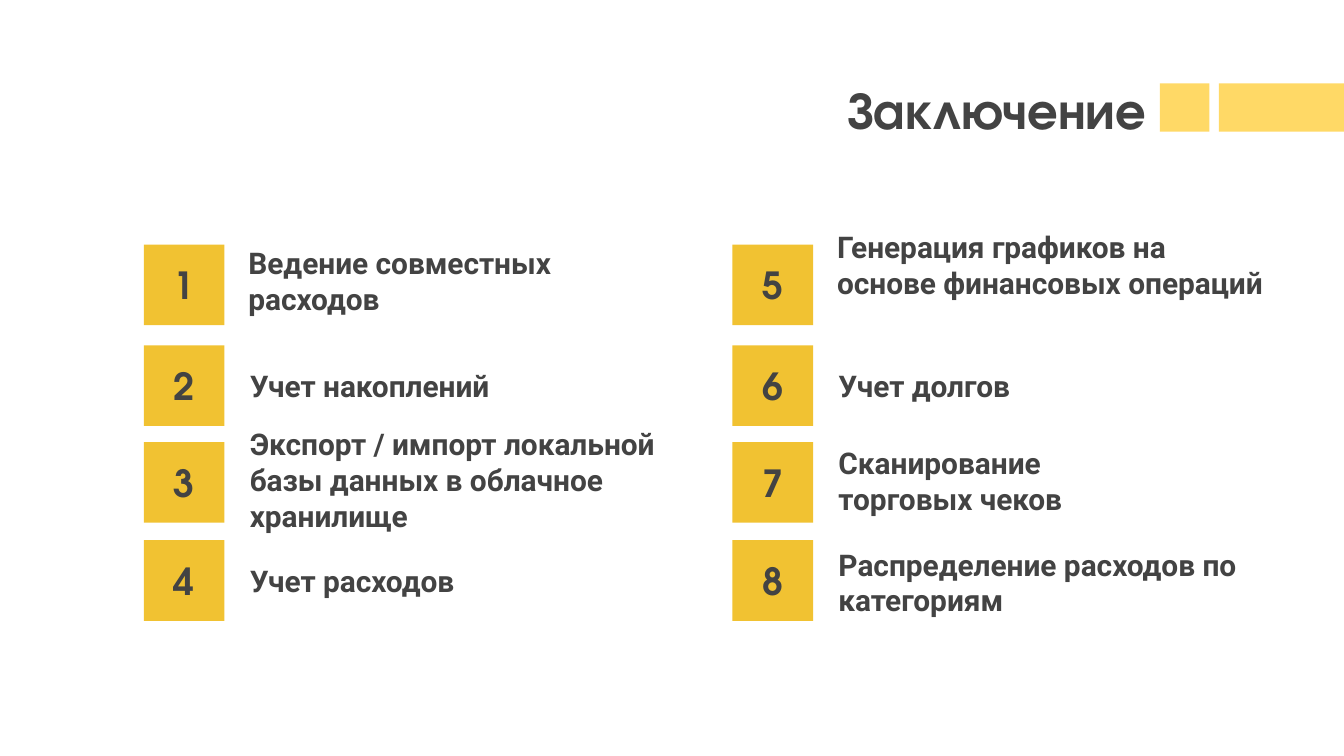
from dataclasses import dataclass

from pptx import Presentation
from pptx.dml.color import RGBColor
from pptx.enum.shapes import MSO_SHAPE
from pptx.enum.text import MSO_ANCHOR, MSO_AUTO_SIZE, PP_ALIGN
from pptx.util import Inches, Pt

RECTANGLE = MSO_SHAPE.RECTANGLE
TOP, MIDDLE = MSO_ANCHOR.TOP, MSO_ANCHOR.MIDDLE
LEFT, CENTER, RIGHT = PP_ALIGN.LEFT, PP_ALIGN.CENTER, PP_ALIGN.RIGHT
TITLE_ONLY = 5


@dataclass(frozen=True)
class Theme:
    text: RGBColor = RGBColor(0x43, 0x43, 0x43)
    badge: RGBColor = RGBColor(0xF1, 0xC2, 0x32)
    accent: RGBColor = RGBColor(0xFF, 0xD9, 0x66)
    heading_font: str = "TeX Gyre Adventor"
    body_font: str = "Roboto"
    title_size: int = 28
    number_size: int = 20
    body_size: int = 16


THEME = Theme()

# Content: each column lists (text, box width, box height)
TITLE = "Заключение"
COLUMNS = [
    [
        ("Ведение совместных расходов", 3.16, 0.8),
        ("Учет накоплений", 2.09, 0.47),
        ("Экспорт / импорт локальной базы данных в облачное хранилище", 3.22, 1.04),
        ("Учет расходов", 2.09, 0.47),
    ],
    [
        ("Генерация графиков на основе финансовых операций", 3.41, 1.04),
        ("Учет долгов", 1.71, 0.47),
        ("Сканирование торговых чеков", 2.09, 0.76),
        ("Распределение расходов по категориям", 3.22, 0.71),
    ],
]

# Grid, in inches, on a 16:9 slide
SLIDE_WIDTH = 10
SLIDE_HEIGHT = SLIDE_WIDTH * 9 / 16
COLUMN_LEFTS = [1.07, 5.45]
ROW_TOPS = [1.82, 2.57, 3.29, 4.02]
TEXT_OFFSETS = [0.68, 0.69, 0.69, 0.69]
BADGE_SIZE = 0.6
BAR_TOP, BAR_HEIGHT = 0.62, 0.36
BARS = [(8.63, 9), (9.07, SLIDE_WIDTH)]


def write(shape, text, font_name, size, align, anchor):
    frame = shape.text_frame
    frame.word_wrap = True
    frame.auto_size = MSO_AUTO_SIZE.NONE
    frame.vertical_anchor = anchor
    frame.margin_left = frame.margin_right = Inches(0.1)
    frame.margin_top = frame.margin_bottom = Inches(0.1)
    frame.text = text
    paragraph = frame.paragraphs[0]
    paragraph.alignment = align
    paragraph.font.name = font_name
    paragraph.font.size = Pt(size)
    paragraph.font.bold = True
    paragraph.font.color.rgb = THEME.text


def add_rectangle(slide, left, top, width, height, color):
    shape = slide.shapes.add_shape(
        RECTANGLE, Inches(left), Inches(top), Inches(width), Inches(height))
    shape.shadow.inherit = False
    shape.fill.solid()
    shape.fill.fore_color.rgb = color
    shape.line.fill.background()
    return shape


def add_title(slide):
    title = slide.shapes.title
    title.left, title.top = Inches(1.85), Inches(0.57)
    title.width, title.height = Inches(6.78), Inches(0.47)
    write(title, TITLE, THEME.heading_font, THEME.title_size, RIGHT, MIDDLE)


def add_item(slide, number, column, row, text, width, height):
    left, top = COLUMN_LEFTS[column], ROW_TOPS[row]
    badge = add_rectangle(slide, left, top, BADGE_SIZE, BADGE_SIZE, THEME.badge)
    write(badge, str(number), THEME.heading_font, THEME.number_size, CENTER, MIDDLE)

    # The text box is centred vertically on its badge
    text_top = top + (BADGE_SIZE - height) / 2
    box = slide.shapes.add_textbox(
        Inches(left + TEXT_OFFSETS[row]), Inches(text_top), Inches(width), Inches(height))
    write(box, text, THEME.body_font, THEME.body_size, LEFT, TOP)


def main():
    presentation = Presentation()
    presentation.slide_width = Inches(SLIDE_WIDTH)
    presentation.slide_height = Inches(SLIDE_HEIGHT)
    slide = presentation.slides.add_slide(presentation.slide_layouts[TITLE_ONLY])

    # Title and accent bars
    add_title(slide)
    for start, end in BARS:
        add_rectangle(slide, start, BAR_TOP, end - start, BAR_HEIGHT, THEME.accent)

    # Numbered items, column by column
    for column, items in enumerate(COLUMNS):
        for row, item in enumerate(items):
            add_item(slide, column * len(ROW_TOPS) + row + 1, column, row, *item)

    presentation.save("out.pptx")


if __name__ == "__main__":
    main()
